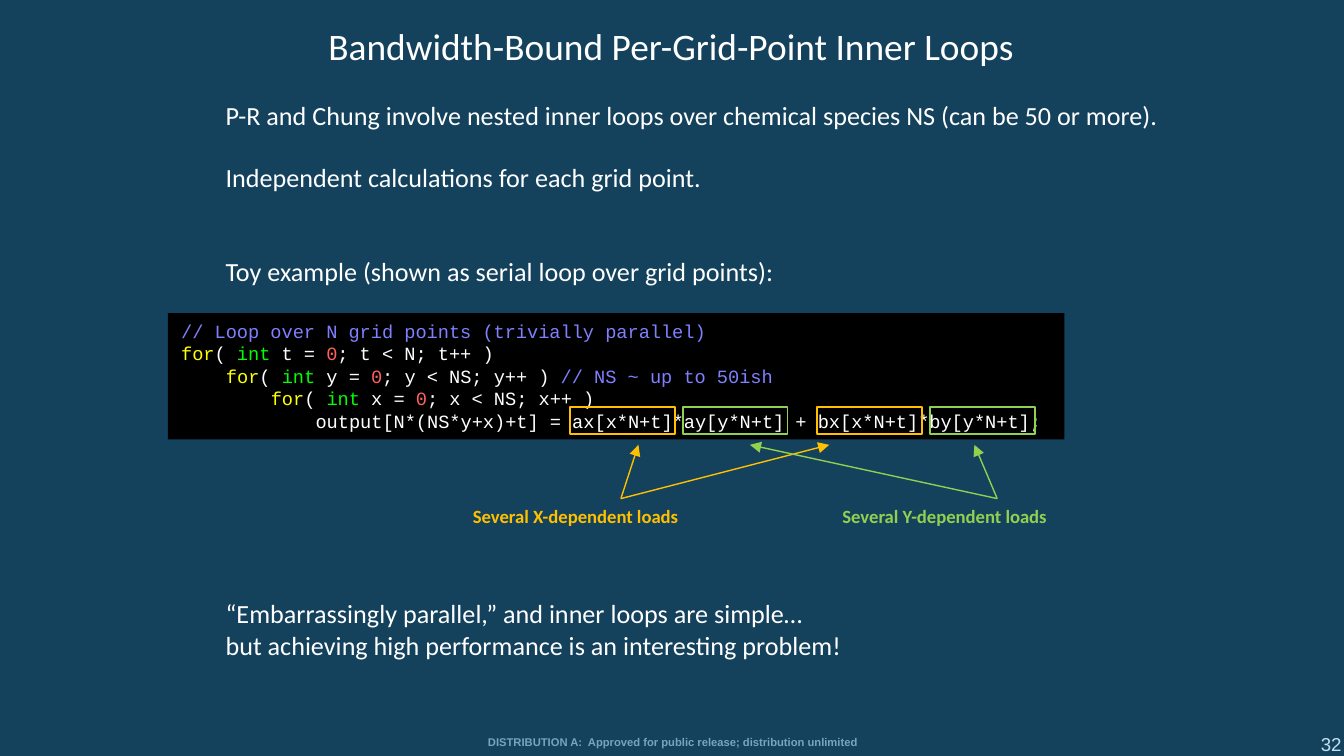
"""Builds the slide on bandwidth-bound inner loops."""
from lxml.etree import SubElement
from pptx import Presentation
from pptx.dml.color import RGBColor
from pptx.enum.shapes import MSO_CONNECTOR, MSO_SHAPE
from pptx.enum.text import MSO_ANCHOR, PP_ALIGN
from pptx.oxml.ns import qn
from pptx.util import Inches, Pt

COLORS = {
    "back": "14425D", "white": "FFFFFF", "black": "000000",
    "number": "C4E1F2", "footer": "77A4BF", "x": "FFC000", "y": "92D050",
    "comment": "8080FF", "keyword": "FFFF00", "type": "00FF00", "value": "FF6060",
}
BODY_LINE = 16.75
CODE_LINE = 12.05
CODE_INDENT = 24
BOX_TOP, BOX_W, BOX_H = 3.03, 0.78, 0.2
ARROW_TOP, LABEL_TOP = 3.31, 3.71
BODY = [
    ("P-R and Chung involve nested inner loops over chemical species NS (can be 50 or more).", 0),
    ("Independent calculations for each grid point.", 1),
    ("Toy example (shown as serial loop over grid points):", 2),
]
CLOSING = [
    ("“Embarrassingly parallel,” and inner loops are simple…", 0),
    ("but achieving high performance is an interesting problem!", 0),
]
LOADS = [
    ("Several X-dependent loads", "x", 3.42, 2.42, 4.62, (4.24, 6.08), (4.75, 6.17)),
    ("Several Y-dependent loads", "y", 6.17, 2.5, 7.42, (5.08, 6.92), (5.58, 7.25)),
]


def rgb(name):
    return RGBColor.from_string(COLORS[name])


def add_run(p, text, size=14, font="Calibri", color="white", bold=False):
    r = p.add_run()
    r.text = text
    r.font.size, r.font.name, r.font.bold = Pt(size), font, bold
    r.font.color.rgb = rgb(color)


def add_text(slide, box, lines, align=PP_ALIGN.LEFT, anchor=MSO_ANCHOR.TOP, line=None, **fmt):
    """Adds a text box; each line is its text and the number of line gaps above it."""
    tf = slide.shapes.add_textbox(*map(Inches, box)).text_frame
    tf.word_wrap, tf.vertical_anchor = True, anchor
    for i, (text, gaps) in enumerate(lines):
        p = tf.paragraphs[0] if i == 0 else tf.add_paragraph()
        p.alignment = align
        if line:
            p.line_spacing, p.space_before = Pt(line), Pt(gaps * line)
        add_run(p, text, **fmt)


def add_title(slide, text):
    sp = slide.shapes.title
    sp.left, sp.top, sp.width, sp.height = map(Inches, (0, 0.12, 9.99, 0.48))
    tf = sp.text_frame
    tf.vertical_anchor = MSO_ANCHOR.TOP
    p = tf.paragraphs[0]
    p.alignment = PP_ALIGN.CENTER
    add_run(p, text, size=20)


def add_rect(slide, box, fill=None, line=None):
    sp = slide.shapes.add_shape(MSO_SHAPE.RECTANGLE, *map(Inches, box))
    sp.shadow.inherit = False
    if fill:
        sp.fill.solid()
        sp.fill.fore_color.rgb = rgb(fill)
    else:
        sp.fill.background()
    if line:
        sp.line.color.rgb, sp.line.width = rgb(line), Pt(1)
    else:
        sp.line.fill.background()
    return sp


def add_arrow(slide, start, end, color):
    points = map(Inches, (*start, *end))
    cx = slide.shapes.add_connector(MSO_CONNECTOR.STRAIGHT, *points)
    cx.line.color.rgb, cx.line.width = rgb(color), Pt(0.75)
    SubElement(cx.line._get_or_add_ln(), qn("a:tailEnd"), type="triangle")
    SubElement(cx._element.spPr, qn("a:effectLst"))


def loop_line(var, limit):
    return [("for", "keyword"), ("( ", "white"), ("int", "type"), (f" {var} = ", "white"),
            ("0", "value"), (f"; {var} < {limit}; {var}++ )", "white")]


def add_code(slide):
    """Adds the listing; each line is its indent level and coloured pieces."""
    lines = [
        (0, [("// Loop over N grid points (trivially parallel)", "comment")]),
        (0, loop_line("t", "N")),
        (1, loop_line("y", "NS") + [(" // NS ~ up to 50ish", "comment")]),
        (2, loop_line("x", "NS")),
        (3, [("output[N*(NS*y+x)+t] = ax[x*N+t]*ay[y*N+t] + bx[x*N+t]*by[y*N+t];", "white")]),
    ]
    tf = add_rect(slide, (1.25, 2.33, 6.67, 0.94), fill="black").text_frame
    tf.word_wrap, tf.vertical_anchor = True, MSO_ANCHOR.TOP
    for i, (level, pieces) in enumerate(lines):
        p = tf.paragraphs[0] if i == 0 else tf.add_paragraph()
        p.alignment, p.line_spacing = PP_ALIGN.LEFT, Pt(CODE_LINE)
        p._p.get_or_add_pPr().set("marL", str(Pt(level * CODE_INDENT)))
        for text, color in pieces:
            add_run(p, text, size=10, font="Courier New", color=color)


def add_loads(slide, label, color, left, width, start, boxes, tips):
    """Adds a label, its arrows and the frames around its loads."""
    add_text(slide, (left, LABEL_TOP, width, 0.27), [(label, 0)], size=10, color=color, bold=True)
    for box, tip in zip(boxes, tips):
        add_arrow(slide, (start, LABEL_TOP), (tip, ARROW_TOP), color)
        add_rect(slide, (box, BOX_TOP, BOX_W, BOX_H), line=color)


def main():
    prs = Presentation()
    prs.slide_width = Inches(10)
    prs.slide_height = prs.slide_width * 9 // 16
    slide = prs.slides.add_slide(prs.slide_layouts[5])
    slide.background.fill.solid()
    slide.background.fill.fore_color.rgb = rgb("back")
    add_title(slide, "Bandwidth-Bound Per-Grid-Point Inner Loops")
    add_text(slide, (9.5, 5.4, 0.58, 0.27), [("32", 0)], align=PP_ALIGN.RIGHT,
             anchor=MSO_ANCHOR.BOTTOM, size=10, font="Arial", color="number")
    add_text(slide, (0.42, 5.42, 9.17, 0.2),
             [("DISTRIBUTION A:  Approved for public release; distribution unlimited", 0)],
             align=PP_ALIGN.CENTER, size=6, font="Arial", color="footer", bold=True)
    add_text(slide, (1.58, 0.69, 8.25, 1.51), BODY, line=BODY_LINE)
    add_text(slide, (1.58, 4.4, 7.75, 0.57), CLOSING, line=BODY_LINE)
    add_code(slide)
    for load in LOADS:
        add_loads(slide, *load)
    prs.save("out.pptx")


if __name__ == "__main__":
    main()
